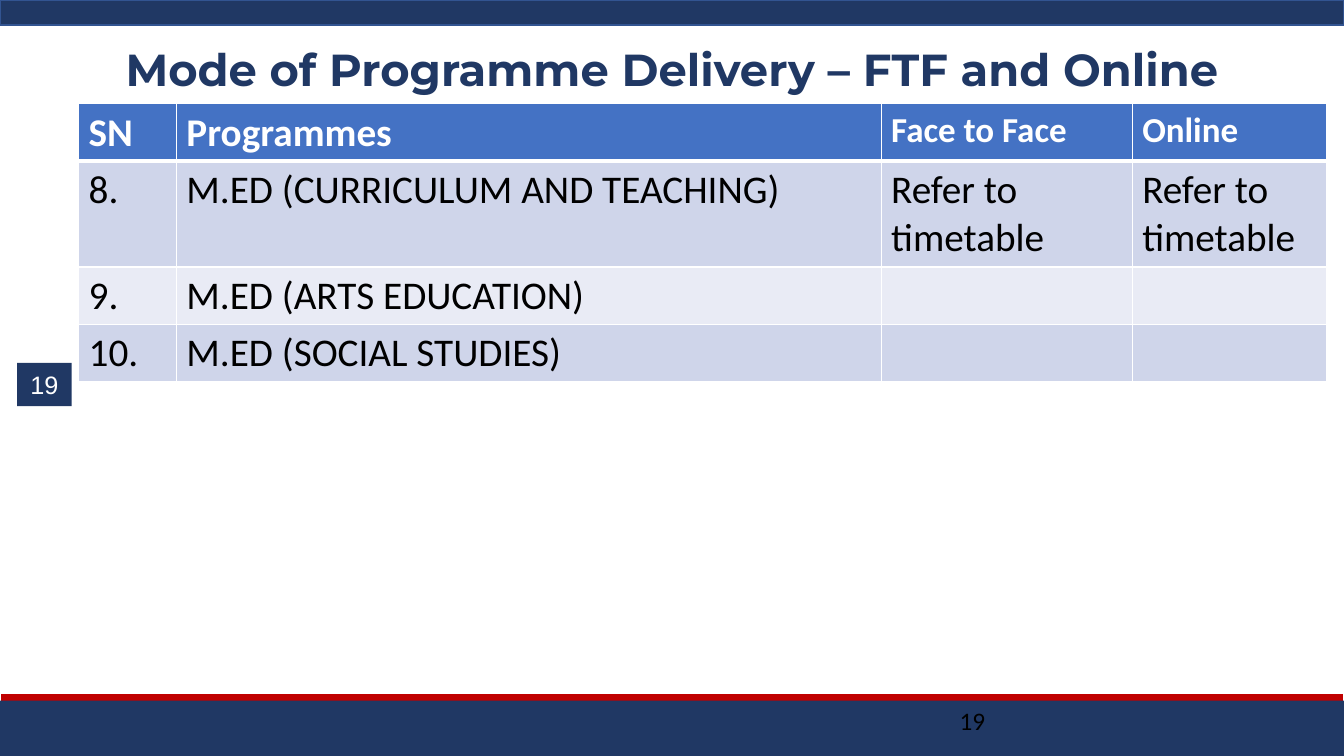
import dataclasses

import pptx
import pptx.util
import pptx.dml.color
import pptx.enum.shapes
import pptx.enum.text
import pptx.oxml
import pptx.oxml.ns

Inches = pptx.util.Inches
Pt = pptx.util.Pt
ALIGN = pptx.enum.text.PP_ALIGN
ANCHOR = pptx.enum.text.MSO_ANCHOR


@dataclasses.dataclass(frozen=True)
class Theme:
    navy: str = "203864"
    navy_edge: str = "325491"
    red: str = "C00000"
    white: str = "FFFFFF"
    black: str = "000000"
    header: str = "4472C4"
    bands: tuple = ("CFD5EA", "E9EBF5")
    title_font: str = "Montserrat"
    body_font: str = "Calibri"
    badge_font: str = "Arial"
    title_size: int = 32
    table_size: int = 28
    mode_size: int = 25
    number_size: int = 18


THEME = Theme()
SLIDE_W, SLIDE_H = 13.33, 7.5
PAGE = "19"
HEADINGS = ("SN", "Programmes", "Face to Face", "Online")
PROGRAMMES = (
    ("8.", "M.ED (CURRICULUM AND TEACHING)", "Refer to timetable", "Refer to timetable"),
    ("9.", "M.ED (ARTS EDUCATION)", "", ""),
    ("10.", "M.ED (SOCIAL STUDIES)", "", ""),
)
COLUMN_WIDTHS = (0.97, 6.99, 2.49, 1.93)
ROW_HEIGHTS = (0.57, 1.05, 0.57, 0.57)


def rgb(value):
    return pptx.dml.color.RGBColor.from_string(value)


def write(tf, text, font, size, color, bold=False, align=ALIGN.LEFT):
    tf.text = text
    p = tf.paragraphs[0]
    p.alignment = align
    for r in p.runs:
        r.font.name = font
        r.font.size = Pt(size)
        r.font.bold = bold
        r.font.color.rgb = rgb(color)
    return p


def add_bar(s, box, fill, line=None):
    sp = s.shapes.add_shape(
        pptx.enum.shapes.MSO_SHAPE.RECTANGLE, *map(Inches, box))
    sp.shadow.inherit = False
    sp.fill.solid()
    sp.fill.fore_color.rgb = rgb(fill)
    if line:
        sp.line.color.rgb = rgb(line)
        sp.line.width = Pt(1)
    else:
        sp.line.fill.background()
    return sp


def add_text(s, box, text, font, size, color, **style):
    tf = s.shapes.add_textbox(*map(Inches, box)).text_frame
    tf.word_wrap = True
    return tf, write(tf, text, font, size, color, **style)


def add_footer(s, box):
    left, top, width, height = box
    add_bar(s, (left, top, width, 0.13), THEME.red, THEME.white)
    add_bar(s, (left, top + 0.07, width, height - 0.07), THEME.navy)
    add_text(s, (left + 9.42, top + 0.07, 3, 0.4), PAGE,
             THEME.body_font, THEME.number_size, THEME.black)


def add_badge(s, box):
    tf = add_bar(s, box, THEME.navy).text_frame
    tf.vertical_anchor = ANCHOR.MIDDLE
    write(tf, PAGE, THEME.badge_font, THEME.number_size, THEME.white,
          align=ALIGN.CENTER)


def add_title(s, box):
    tf, p = add_text(s, box, "Mode of Programme Delivery – FTF and Online",
                     THEME.title_font, THEME.title_size, THEME.navy,
                     bold=True, align=ALIGN.CENTER)
    tf.vertical_anchor = ANCHOR.MIDDLE
    p.line_spacing = 0.9


def set_borders(cell, top, bottom):
    tc_pr = cell._tc.get_or_add_tcPr()
    for side, width in (("L", 1), ("R", 1), ("T", top), ("B", bottom)):
        tc_pr.append(pptx.oxml.parse_xml(
            f'<a:ln{side} {pptx.oxml.ns.nsdecls("a")} w="{Pt(width)}">'
            f'<a:solidFill><a:srgbClr val="{THEME.white}"/></a:solidFill>'
            f'</a:ln{side}>'))


def add_programme_table(s, left, top):
    rows = (HEADINGS,) + PROGRAMMES
    table = s.shapes.add_table(
        len(rows), len(HEADINGS), Inches(left), Inches(top),
        Inches(sum(COLUMN_WIDTHS)), Inches(sum(ROW_HEIGHTS))).table
    for column, width in zip(table.columns, COLUMN_WIDTHS):
        column.width = Inches(width)
    for i, (values, height) in enumerate(zip(rows, ROW_HEIGHTS)):
        table.rows[i].height = Inches(height)
        is_header = i == 0
        fill = THEME.header if is_header else THEME.bands[(i - 1) % 2]
        color = THEME.white if is_header else THEME.black
        for j, text in enumerate(values):
            cell = table.cell(i, j)
            set_borders(cell, 3 if i == 1 else 1, 3 if is_header else 1)
            cell.fill.solid()
            cell.fill.fore_color.rgb = rgb(fill)
            size = THEME.mode_size if is_header and j > 1 else THEME.table_size
            write(cell.text_frame, text, THEME.body_font, size, color,
                  bold=is_header)


def main():
    prs = pptx.Presentation()
    prs.slide_width = Inches(SLIDE_W)
    prs.slide_height = Inches(SLIDE_H)
    s = prs.slides.add_slide(prs.slide_layouts[6])
    add_bar(s, (0, 0, SLIDE_W, 0.25), THEME.navy, THEME.navy_edge)
    add_footer(s, (0, 6.88, SLIDE_W, 0.62))
    add_badge(s, (0.17, 3.6, 0.54, 0.43))
    add_title(s, (0.92, 0.4, 11.5, 0.63))
    add_programme_table(s, 0.78, 1.03)
    prs.save("out.pptx")


if __name__ == "__main__":
    main()
